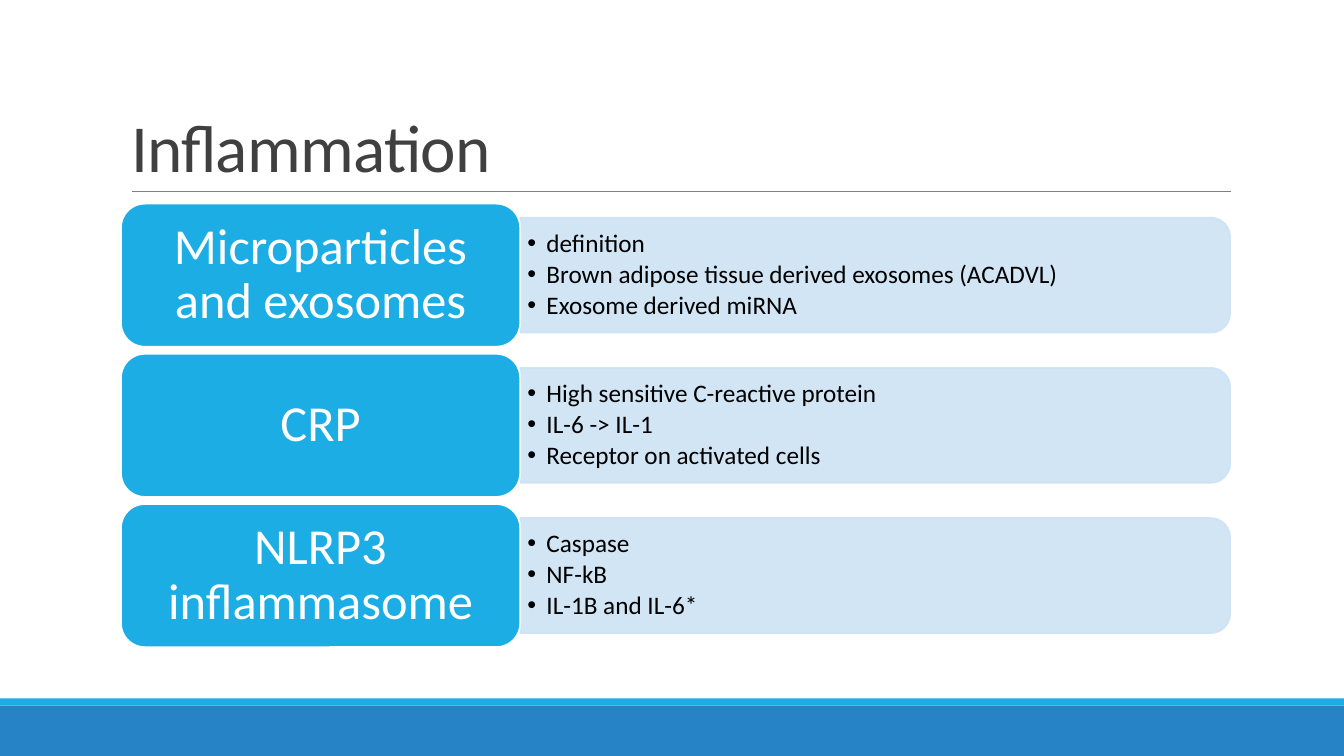
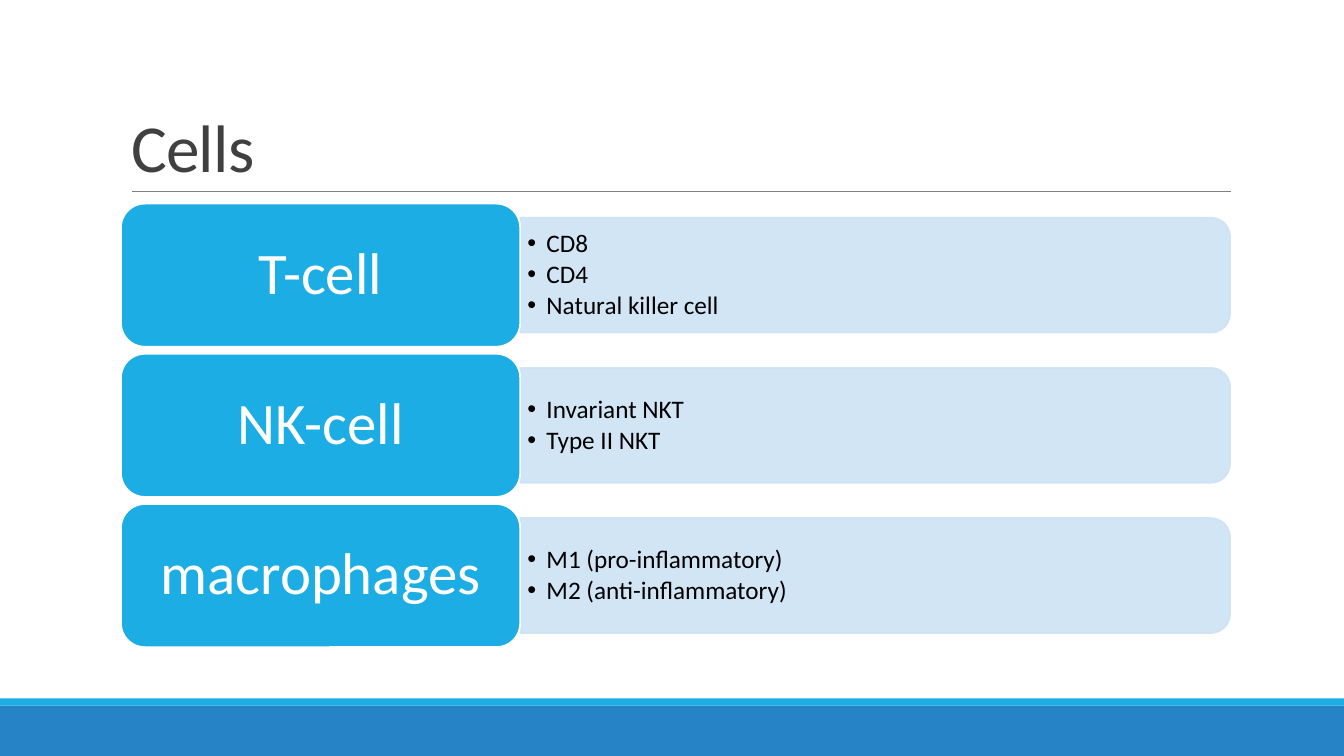
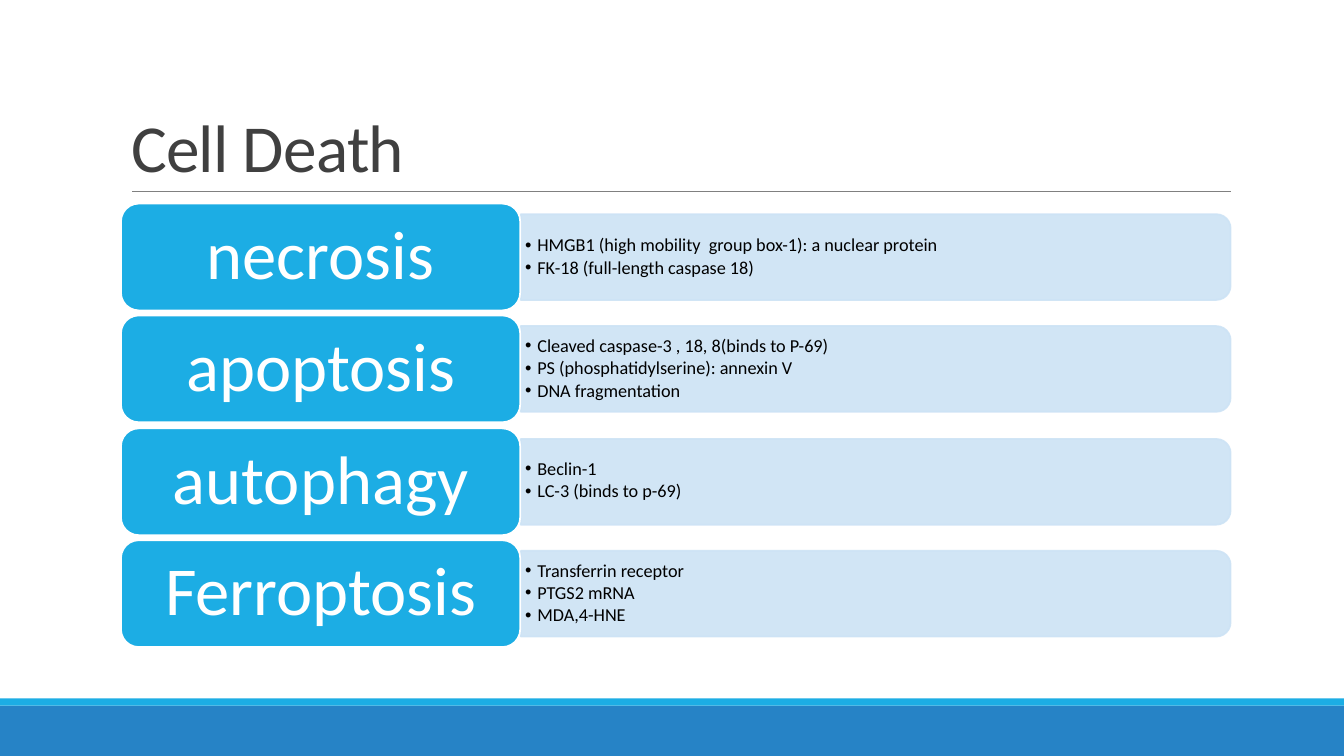
from dataclasses import dataclass

from lxml.etree import SubElement
from pptx import Presentation
from pptx.dml.color import RGBColor
from pptx.enum.shapes import MSO_CONNECTOR as Connector, MSO_SHAPE as Preset
from pptx.enum.text import MSO_ANCHOR as Anchor, MSO_AUTO_SIZE as AutoSize, PP_ALIGN as Align
from pptx.oxml.ns import qn
from pptx.util import Emu, Pt

EMU_PER_PX = 9144  # 100 px to the inch
TITLE_ONLY = 5


@dataclass(frozen=True)
class Theme:
    font: str = "Calibri"
    title: str = "404040"
    rule: str = "808080"
    band: str = "2683C6"
    accent: str = "1CADE4"
    panel: str = "CDE3F5"
    ink: str = "000000"
    white: str = "FFFFFF"
    title_size: int = 48
    outline: float = 1.25
    panel_alpha: int = 90


def px(length):
    return Emu(round(length) * EMU_PER_PX)


def rgb(code):
    return RGBColor.from_string(code)


def set_alpha(fill_format, percent):
    color = fill_format._xPr.find(qn("a:solidFill"))[0]
    SubElement(color, qn("a:alpha")).set("val", str(percent * 1000))


def add_bullet(para, indent):
    properties = para._p.get_or_add_pPr()
    properties.set("marL", str(px(indent)))
    properties.set("indent", str(-px(indent)))
    SubElement(properties, qn("a:buFont")).set("typeface", "Arial")
    SubElement(properties, qn("a:buChar")).set("char", "•")


class SlideBuilder:
    WIDTH, HEIGHT = 1333, 750
    LIST_LEFT, LIST_TOP, LIST_HEIGHT = 120, 202, 440
    LABEL_WIDTH, PANEL_WIDTH = 396, 704
    GAP_RATIO, PANEL_RATIO, TEXT_RATIO = 0.05, 0.8, 0.9

    def __init__(self, theme):
        self.theme = theme
        self.deck = Presentation()
        self.deck.slide_width, self.deck.slide_height = px(self.WIDTH), px(self.HEIGHT)
        self.page = None

    def new_page(self, title):
        self.page = self.deck.slides.add_slide(self.deck.slide_layouts[TITLE_ONLY])
        self.shape(Preset.RECTANGLE, 0, 700, self.WIDTH, 50, self.theme.band)
        self.shape(Preset.RECTANGLE, 0, 693, self.WIDTH, 7, self.theme.accent)
        self.rule(131, 190, 1221)
        self.title(title)

    def title(self, text):
        box = self.page.shapes.title
        box.left, box.top, box.width, box.height = px(120), px(31), px(1100), px(159)
        self.put_text(box, [text], size=self.theme.title_size, color=self.theme.title,
                      anchor=Anchor.BOTTOM, line_spacing=0.85, tracking=-50)

    def rule(self, left, top, right):
        line = self.page.shapes.add_connector(
            Connector.STRAIGHT, px(left), px(top), px(right), px(top))
        line.line.color.rgb = rgb(self.theme.rule)
        line.line.width = Pt(0.5)
        SubElement(line._element.spPr, qn("a:effectLst"))

    def shape(self, preset, left, top, width, height, fill, outline=None, alpha=None):
        shape = self.page.shapes.add_shape(preset, px(left), px(top), px(width), px(height))
        shape.shadow.inherit = False
        shape.fill.solid()
        shape.fill.fore_color.rgb = rgb(fill)
        if outline:
            shape.line.color.rgb = rgb(outline)
            shape.line.width = Pt(self.theme.outline)
        else:
            shape.line.fill.background()
        if alpha:
            set_alpha(shape.fill, alpha)
            set_alpha(shape.line.fill, alpha)
        return shape

    def put_text(self, box, lines, *, size, color, align=Align.LEFT, anchor=Anchor.MIDDLE,
                 line_spacing=0.9, space_after=0, inset=None, indent=None, tracking=None):
        """Fill a box with one paragraph a line; an indent turns them into bullets."""
        frame = box.text_frame
        frame.word_wrap = True
        frame.auto_size = AutoSize.NONE
        frame.vertical_anchor = anchor
        if inset is not None:
            frame.margin_left = frame.margin_right = px(inset)
            frame.margin_top = frame.margin_bottom = 0
        for index, text in enumerate(lines):
            para = frame.add_paragraph() if index else frame.paragraphs[0]
            para.alignment = align
            para.line_spacing = line_spacing
            para.space_before = Pt(0)
            para.space_after = Pt(space_after)
            if indent:
                add_bullet(para, indent)
            span = para.add_run()
            span.text = text
            span.font.name = self.theme.font
            span.font.size = Pt(size)
            span.font.color.rgb = rgb(color)
            if tracking:
                span._r.get_or_add_rPr().set("spc", str(tracking))

    def panel(self, top, row_height, lines, size, indent):
        """Pale panel rounded on its right side only, with bullets over it."""
        left, width = self.LIST_LEFT + self.LABEL_WIDTH, self.PANEL_WIDTH
        height = row_height * self.PANEL_RATIO
        middle = top + row_height / 2
        # The preset is rounded at its top, so it stands upright and is turned.
        back = self.shape(Preset.ROUND_2_SAME_RECTANGLE, left + (width - height) / 2,
                          middle - width / 2, height, width, self.theme.panel,
                          outline=self.theme.panel, alpha=self.theme.panel_alpha)
        back.rotation = 90
        text_height = height * self.TEXT_RATIO
        text_width = width - (height - text_height) / 2
        box = self.page.shapes.add_textbox(
            px(left), px(middle - text_height / 2), px(text_width), px(text_height))
        self.put_text(box, lines, size=size, color=self.theme.ink, indent=indent,
                      inset=size * 0.4, space_after=round(size * 0.15, 1))

    def label(self, top, height, text, size):
        box = self.shape(Preset.ROUNDED_RECTANGLE, self.LIST_LEFT, top, self.LABEL_WIDTH,
                         height, self.theme.accent, outline=self.theme.white)
        self.put_text(box, [text], size=size, color=self.theme.white, align=Align.CENTER,
                      inset=height * 0.05 + size * 0.42)

    def block_list(self, rows, label_size, bullet_size=18, indent=19):
        """Spread labelled rows evenly over the list area."""
        count = len(rows)
        height = self.LIST_HEIGHT / (count + self.GAP_RATIO * (count - 1))
        for index, (name, lines) in enumerate(rows.items()):
            top = self.LIST_TOP + index * height * (1 + self.GAP_RATIO)
            self.panel(top, height, lines, bullet_size, indent)
            self.label(top, height, name, label_size)


def main():
    builder = SlideBuilder(Theme())

    builder.new_page("Inflammation")
    builder.block_list({
        "Microparticles and exosomes": [
            "definition",
            "Brown adipose tissue derived exosomes (ACADVL)",
            "Exosome derived miRNA",
        ],
        "CRP": [
            "High sensitive C-reactive protein",
            "IL-6 -> IL-1",
            "Receptor on activated cells",
        ],
        "NLRP3 inflammasome": ["Caspase", "NF-kB", "IL-1B and IL-6*"],
    }, label_size=36)

    builder.new_page("Cells")
    builder.block_list({
        "T-cell": ["CD8", "CD4", "Natural killer cell"],
        "NK-cell": ["Invariant NKT", "Type II NKT"],
        "macrophages": ["M1 (pro-inflammatory)", "M2 (anti-inflammatory)"],
    }, label_size=42)

    builder.new_page("Cell Death")
    builder.block_list({
        "necrosis": [
            "HMGB1 (high mobility  group box-1): a nuclear protein",
            "FK-18 (full-length caspase 18)",
        ],
        "apoptosis": [
            "Cleaved caspase-3 , 18, 8(binds to P-69)",
            "PS (phosphatidylserine): annexin V",
            "DNA fragmentation",
        ],
        "autophagy": ["Beclin-1", "LC-3 (binds to p-69)"],
        "Ferroptosis": ["Transferrin receptor", "PTGS2 mRNA", "MDA,4-HNE"],
    }, label_size=49, bullet_size=13, indent=12)

    builder.deck.save("out.pptx")


if __name__ == "__main__":
    main()
